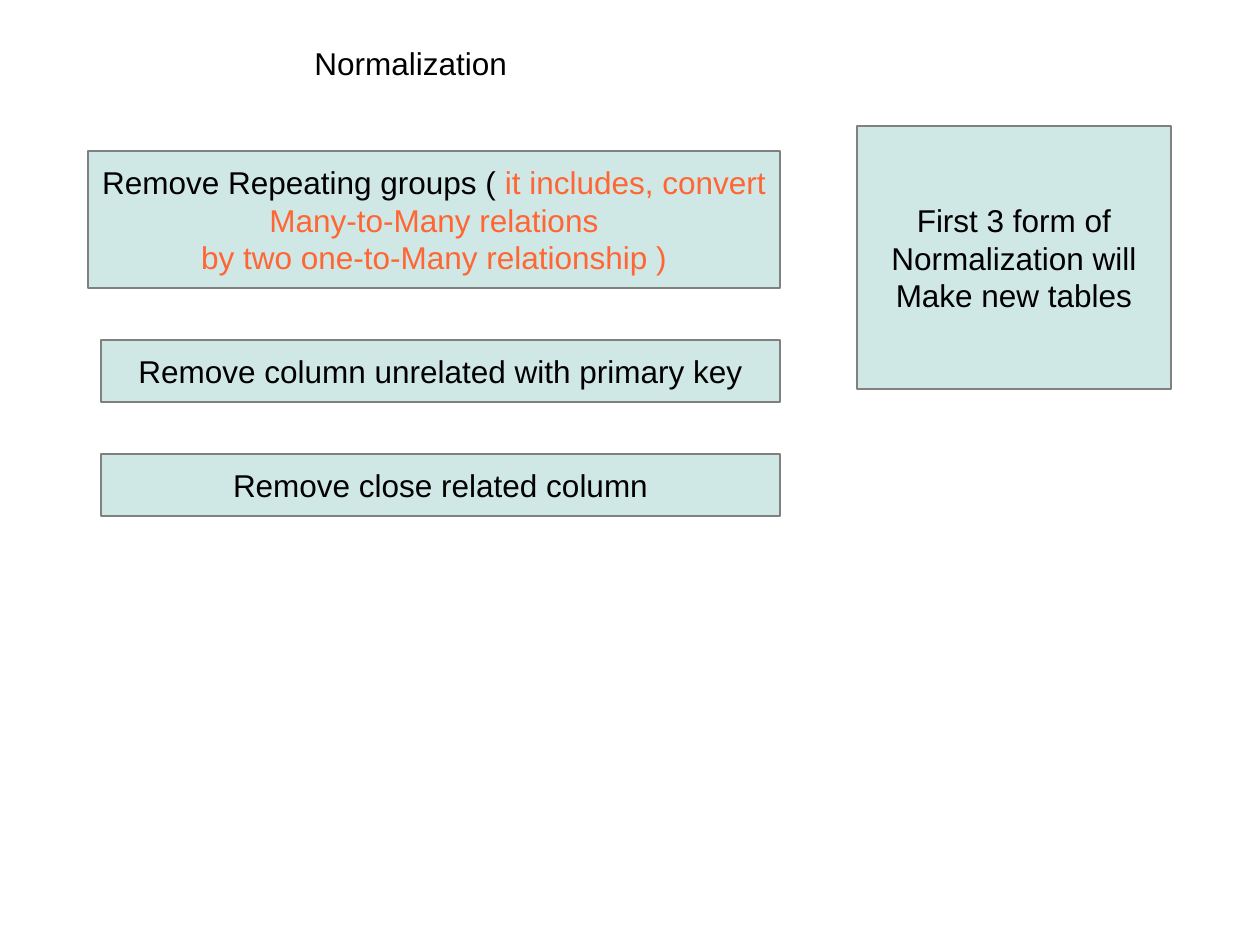
from pptx import Presentation
from pptx.dml.color import RGBColor
from pptx.enum.shapes import MSO_SHAPE
from pptx.enum.text import MSO_ANCHOR, PP_ALIGN
from pptx.util import Pt

PX = 914400 // 126
COLORS = {"text": "000000", "accent": "FF6633", "fill": "CFE7E5", "line": "808080"}

# Each paragraph is a list of (text, colour) runs.
TITLE = [[("Normalization", "text")]]
REPEATING_GROUPS = [
    [("Remove Repeating groups (", "text"), (" it includes, convert", "accent")],
    [("Many-to-Many relations", "accent")],
    [("by two one-to-Many relationship )", "accent")],
]
UNRELATED_COLUMN = [[("Remove column unrelated with primary key", "text")]]
CLOSE_COLUMN = [[("Remove close related column", "text")]]
NEW_TABLES = [
    [("First 3 form of", "text")],
    [("Normalization will", "text")],
    [("Make new tables", "text")],
]

# Left, top, width, height in px
TITLE_AT = (302, 38, 541, 45)
BOXES = [
    (REPEATING_GROUPS, (88, 151, 692, 137)),
    (UNRELATED_COLUMN, (101, 340, 679, 62)),
    (CLOSE_COLUMN, (101, 454, 679, 62)),
    (NEW_TABLES, (857, 126, 314, 263)),
]


def rgb(name):
    return RGBColor.from_string(COLORS[name])


def emu(at):
    return [v * PX for v in at]


def write(tf, paragraphs, size=18, font="Arial", align=PP_ALIGN.CENTER,
          anchor=MSO_ANCHOR.MIDDLE, wrap=False):
    tf.word_wrap = wrap
    tf.vertical_anchor = anchor
    for i, runs in enumerate(paragraphs):
        p = tf.add_paragraph() if i else tf.paragraphs[0]
        p.alignment = align
        for text, color in runs:
            r = p.add_run()
            r.text = text
            r.font.size = Pt(size)
            r.font.name = font
            r.font.color.rgb = rgb(color)


def add_box(s, paragraphs, at):
    sp = s.shapes.add_shape(MSO_SHAPE.RECTANGLE, *emu(at))
    sp.shadow.inherit = False
    sp.fill.solid()
    sp.fill.fore_color.rgb = rgb("fill")
    sp.line.color.rgb = rgb("line")
    sp.line.width = Pt(0.75)
    write(sp.text_frame, paragraphs)


def main():
    prs = Presentation()
    prs.slide_width, prs.slide_height = emu((1260, 945))
    s = prs.slides.add_slide(prs.slide_layouts[6])
    title = s.shapes.add_textbox(*emu(TITLE_AT))
    write(title.text_frame, TITLE, align=PP_ALIGN.LEFT, anchor=MSO_ANCHOR.TOP, wrap=True)
    for paragraphs, at in BOXES:
        add_box(s, paragraphs, at)
    prs.save("out.pptx")


if __name__ == "__main__":
    main()
